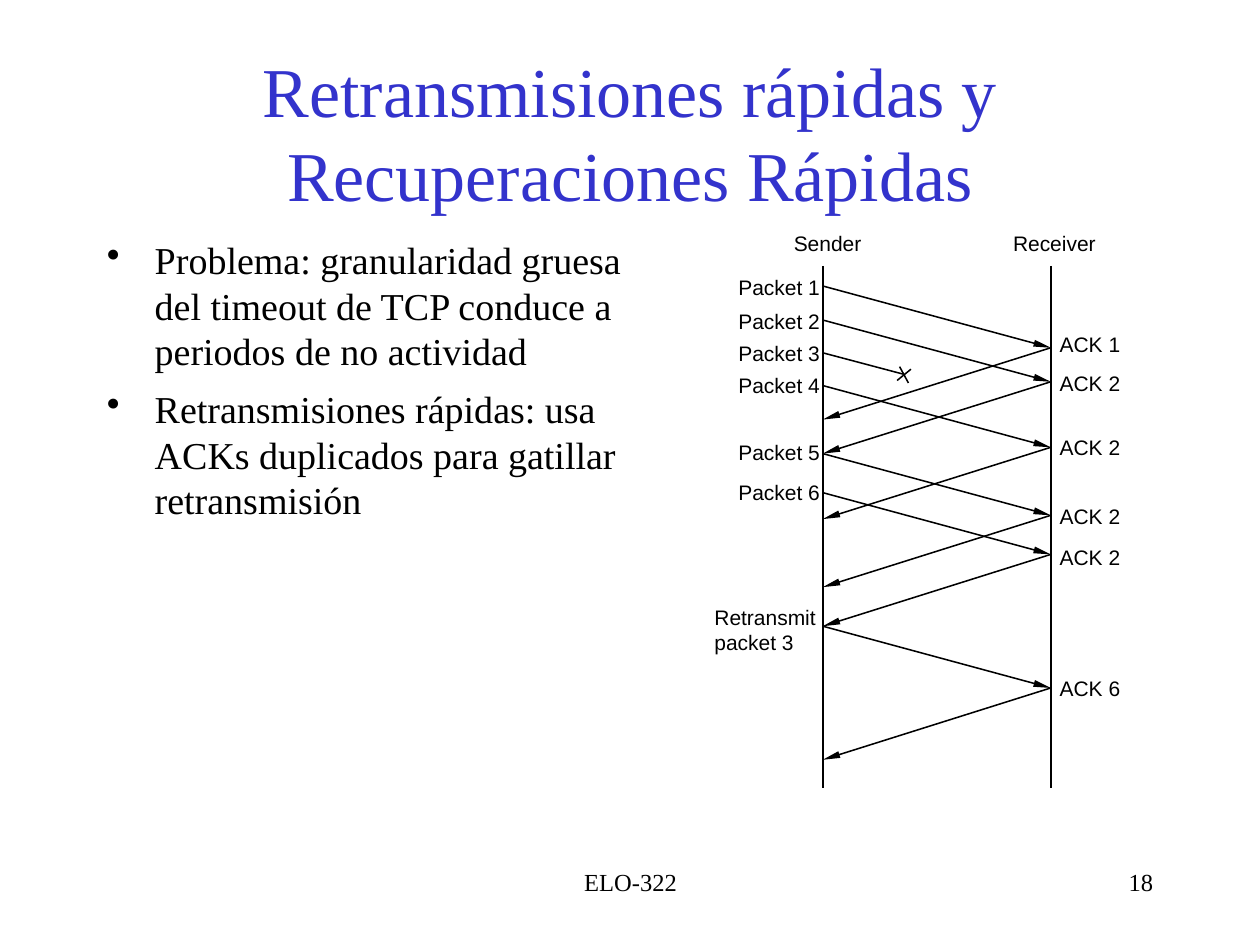
from dataclasses import dataclass

from lxml import etree
from pptx import Presentation
from pptx.dml.color import RGBColor
from pptx.enum import shapes, text
from pptx.oxml import ns
from pptx.util import Inches, Pt


@dataclass(frozen=True)
class Theme:
    ink: RGBColor = RGBColor(0, 0, 0)
    heading: RGBColor = RGBColor(0x33, 0x33, 0xCC)
    serif: str = "Times New Roman"
    sans: str = "Arial"
    title_size: float = 40
    body_size: float = 21.7
    label_size: float = 12
    footer_size: float = 14
    line_width: float = 0.88


class SlideBuilder:
    def __init__(self, page, theme):
        self.page = page
        self.theme = theme

    def add_span(self, para, words, size, font, color=None):
        span = para.add_run()
        span.text = words
        span.font.size = Pt(size)
        span.font.name = font
        span.font.color.rgb = color or self.theme.ink

    def add_box(self, left, top, width, height):
        return self.page.shapes.add_textbox(
            Inches(left), Inches(top), Inches(width), Inches(height))

    def add_title(self, words, left, top, width, height):
        title = self.page.shapes.title
        title.left, title.top = Inches(left), Inches(top)
        title.width, title.height = Inches(width), Inches(height)
        frame = title.text_frame
        frame.auto_size = text.MSO_AUTO_SIZE.NONE
        frame.vertical_anchor = text.MSO_ANCHOR.MIDDLE
        para = frame.paragraphs[0]
        para.alignment = text.PP_ALIGN.CENTER
        self.add_span(para, words, self.theme.title_size,
                      self.theme.serif, self.theme.heading)

    def add_bullets(self, items, left, top, width, height):
        frame = self.add_box(left, top, width, height).text_frame
        frame.word_wrap = True
        for index, item in enumerate(items):
            para = frame.add_paragraph() if index else frame.paragraphs[0]
            para.space_before = Pt(7)
            properties = para._p.get_or_add_pPr()
            properties.set("marL", str(Inches(0.38)))
            properties.set("indent", str(-Inches(0.38)))
            bullet = etree.SubElement(properties, ns.qn("a:buChar"))
            bullet.set("char", "•")
            self.add_span(para, item, self.theme.body_size, self.theme.serif)

    def add_label(self, words, left, top, width):
        frame = self.add_box(left, top, width, 0.2).text_frame
        frame.margin_left = frame.margin_right = 0
        frame.margin_top = frame.margin_bottom = 0
        frame.word_wrap = False
        frame.auto_size = text.MSO_AUTO_SIZE.SHAPE_TO_FIT_TEXT
        self.add_span(frame.paragraphs[0], words,
                      self.theme.label_size, self.theme.sans)

    def add_footer(self, words, left, width, alignment):
        frame = self.add_box(left, 6.83, width, 0.5).text_frame
        frame.word_wrap = True
        para = frame.paragraphs[0]
        para.alignment = alignment
        self.add_span(para, words, self.theme.footer_size, self.theme.serif)

    def add_line(self, start, end, arrow=False):
        line = self.page.shapes.add_connector(
            shapes.MSO_CONNECTOR.STRAIGHT,
            Inches(start[0]), Inches(start[1]), Inches(end[0]), Inches(end[1]))
        line.line.color.rgb = self.theme.ink
        line.line.width = Pt(self.theme.line_width)
        if arrow:
            head = etree.SubElement(line.line._get_or_add_ln(), ns.qn("a:tailEnd"))
            head.set("type", "triangle")
            head.set("w", "sm")
            head.set("len", "lg")
        etree.SubElement(line._element.spPr, ns.qn("a:effectLst"))


SENDER_X, RECEIVER_X = 6.53, 8.34
TRANSIT, RETURN_TRANSIT = 0.49, 0.57
PACKET_LABELS = [("Packet 1", 2.18), ("Packet 2", 2.45), ("Packet 3", 2.7),
                 ("Packet 4", 2.96), ("Packet 5", 3.49), ("Packet 6", 3.81)]
RETRANSMIT_LABELS = [("Retransmit", 4.8, 0.81), ("packet 3", 5, 0.63)]
EXCHANGES = [(2.27, "ACK 1", 2.63), (2.54, "ACK 2", 2.94), (3.06, "ACK 2", 3.45),
             (3.6, "ACK 2", 4), (3.91, "ACK 2", 4.32), (4.97, "ACK 6", 5.36)]


def add_sequence(builder):
    builder.add_label("Sender", 6.3, 1.83, 0.54)
    builder.add_label("Receiver", 8.04, 1.83, 0.66)
    for x in (SENDER_X, RECEIVER_X):
        builder.add_line((x, 2.11), (x, 6.25))
    for words, top in PACKET_LABELS:
        builder.add_label(words, 5.86, top, 0.65)
    for words, top, width in RETRANSMIT_LABELS:
        builder.add_label(words, 5.67, top, width)
    for sent, ack, ack_top in EXCHANGES:
        received = sent + TRANSIT
        builder.add_line((SENDER_X, sent), (RECEIVER_X, received), arrow=True)
        builder.add_line((RECEIVER_X, received),
                         (SENDER_X, received + RETURN_TRANSIT), arrow=True)
        builder.add_label(ack, 8.41, ack_top, 0.5)
    builder.add_line((SENDER_X, 2.8), (7.17, 2.97))
    builder.add_line((7.14, 2.91), (7.21, 3.04))
    builder.add_line((7.23, 2.93), (7.12, 3.02))


def main():
    deck = Presentation()
    deck.slide_width, deck.slide_height = Inches(10), Inches(7.5)
    builder = SlideBuilder(deck.slides.add_slide(deck.slide_layouts[5]), Theme())
    builder.add_title("Retransmisiones rápidas y Recuperaciones Rápidas",
                      0.75, 0.42, 8.5, 1.25)
    builder.add_bullets(
        ["Problema: granularidad gruesa del timeout de TCP conduce a "
         "periodos de no actividad",
         "Retransmisiones rápidas: usa ACKs duplicados para gatillar "
         "retransmisión"],
        0.75, 1.83, 4.67, 2.42)
    add_sequence(builder)
    builder.add_footer("ELO-322", 3.42, 3.17, text.PP_ALIGN.CENTER)
    builder.add_footer("18", 7.17, 2.08, text.PP_ALIGN.RIGHT)
    deck.save("out.pptx")


if __name__ == "__main__":
    main()
